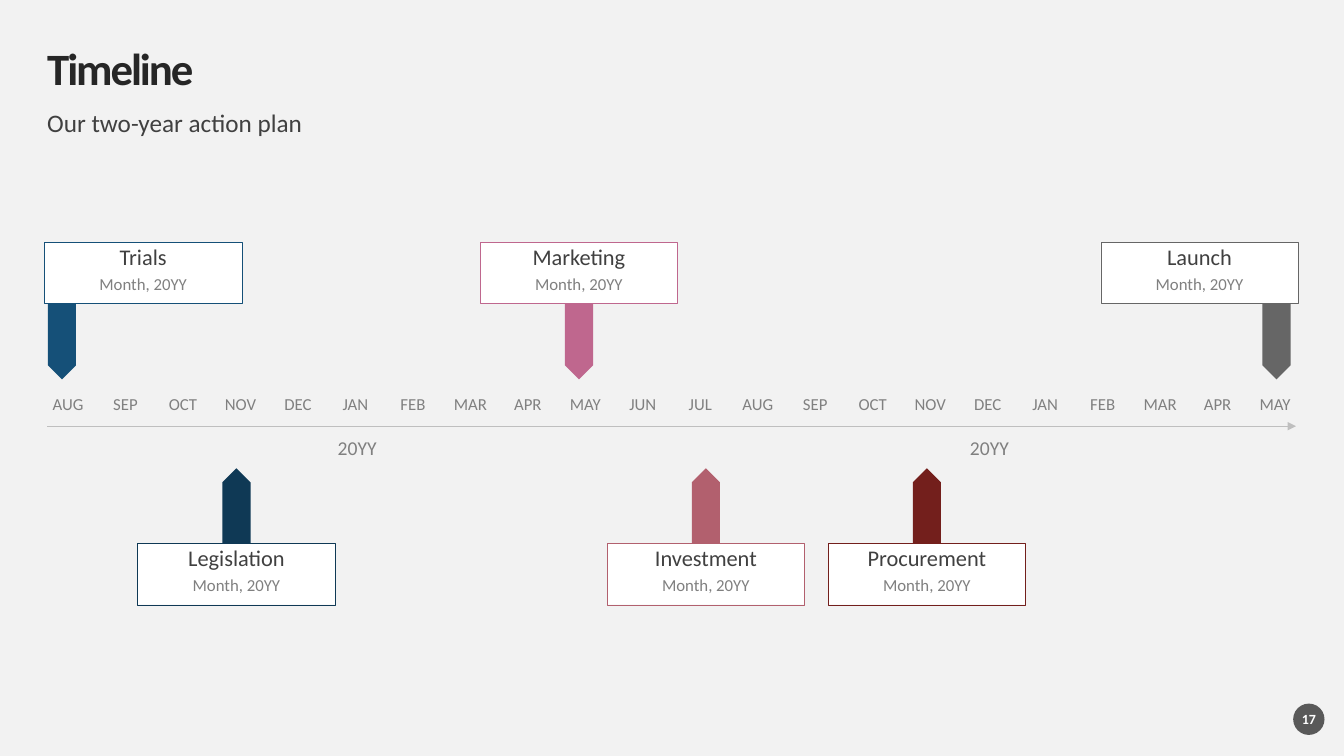
from pptx import Presentation, util as u
from pptx.dml.color import RGBColor
from pptx.enum import shapes, text
from pptx.oxml.ns import qn
from lxml import etree

# Content
TITLE = "Timeline"
SUBTITLE = "Our two-year action plan"
YEAR = "20YY"
DATE = "Month, 20YY"
PAGE_NUMBER = "17"
MONTHS = ("AUG SEP OCT NOV DEC JAN FEB MAR APR MAY JUN "
          "JUL AUG SEP OCT NOV DEC JAN FEB MAR APR MAY").split()
YEAR_MONTHS = (5, 16)  # index of the month each year label starts under
# name, row, pin centre, card centre (cm)
MILESTONES = [
    ("Trials", "above", 1.56, 3.61),
    ("Legislation", "below", 5.96, 5.96),
    ("Marketing", "above", 14.59, 14.59),
    ("Investment", "below", 17.79, 17.79),
    ("Procurement", "below", 23.36, 23.36),
    ("Launch", "above", 32.17, 30.23),
]
COLORS = {
    "back": "F2F2F2", "white": "FFFFFF", "title": "262626", "body": "404040",
    "muted": "808080", "axis": "BFBFBF", "badge": "595959",
    "Trials": "155078", "Legislation": "0F3955", "Marketing": "BF678E",
    "Investment": "B2606E", "Procurement": "731F1C", "Launch": "666666",
}

# Layout in cm
LEFT, RIGHT, AXIS_Y = 1.19, 32.66, 10.74
MONTH_W, MONTH_Y = 1.05, 9.98
MONTH_STEP = (RIGHT - LEFT - MONTH_W) / (len(MONTHS) - 1)
CARD_W, CARD_H, DATE_W = 4.98, 1.55, 4.7
PIN_LENGTH, PIN_W = 1.9, 0.71
# row: card top, pin centre, pin rotation
ROWS = {"above": (6.1, 8.61, 90), "below": (13.69, 12.75, 270)}


def color(name):
    return RGBColor.from_string(COLORS[name])


def write(box, words, size, ink, align="CENTER", anchor="TOP", bold=False,
          top=0, spacing=0.9, before=10):
    frame = box.text_frame
    frame.word_wrap = True
    frame.margin_left = frame.margin_right = frame.margin_bottom = 0
    frame.margin_top = u.Cm(top)
    frame.vertical_anchor = getattr(text.MSO_ANCHOR, anchor)
    para = frame.paragraphs[0]
    para.alignment = getattr(text.PP_ALIGN, align)
    para.line_spacing = spacing
    para.space_before = u.Pt(before)
    span = para.add_run()
    span.text = words
    span.font.name = "Calibri"
    span.font.size = u.Pt(size)
    span.font.bold = bold
    span.font.color.rgb = color(ink)
    return span


def add_label(page, x, y, w, h, words, size, ink, **style):
    box = page.shapes.add_textbox(u.Cm(x), u.Cm(y), u.Cm(w), u.Cm(h))
    return write(box, words, size, ink, **style)


def add_block(page, kind, x, y, w, h, fill, outline=None):
    block = page.shapes.add_shape(kind, u.Cm(x), u.Cm(y), u.Cm(w), u.Cm(h))
    block.shadow.inherit = False
    block.fill.solid()
    block.fill.fore_color.rgb = color(fill)
    if outline:
        block.line.color.rgb = color(outline)
        block.line.width = u.Pt(0.25)
    else:
        block.line.fill.background()
    return block


def add_axis(page):
    axis = page.shapes.add_connector(
        shapes.MSO_CONNECTOR.STRAIGHT,
        u.Cm(LEFT), u.Cm(AXIS_Y), u.Cm(RIGHT), u.Cm(AXIS_Y))
    axis.line.color.rgb = color("axis")
    axis.line.width = u.Pt(0.5)
    properties = axis.element.spPr
    etree.SubElement(properties.find(qn("a:ln")), qn("a:tailEnd"), type="triangle")
    etree.SubElement(properties, qn("a:effectLst"))


def add_milestone(page, name, row, pin_x, card_x):
    card_y, pin_y, turn = ROWS[row]
    pin = add_block(page, shapes.MSO_SHAPE.PENTAGON, pin_x - PIN_LENGTH / 2,
                    pin_y - PIN_W / 2, PIN_LENGTH, PIN_W, name)
    pin.rotation = turn
    card = add_block(page, shapes.MSO_SHAPE.RECTANGLE, card_x - CARD_W / 2,
                     card_y, CARD_W, CARD_H, "white", name)
    write(card, name, 16, "body", top=0.1)
    add_label(page, card_x - DATE_W / 2, card_y + 0.86, DATE_W, 0.64,
              DATE, 12, "muted")


def main():
    deck = Presentation()
    deck.slide_width, deck.slide_height = u.Cm(33.87), u.Cm(19.05)
    page = deck.slides.add_slide(deck.slide_layouts[6])
    page.background.fill.solid()
    page.background.fill.fore_color.rgb = color("back")

    # Heading
    heading = add_label(page, LEFT, 1.19, RIGHT - LEFT, 1.19, TITLE, 32, "title",
                        align="LEFT", anchor="MIDDLE", bold=True, before=0)
    heading.font._element.set("spc", "-150")
    add_label(page, LEFT, 2.79, RIGHT - LEFT, 0.71, SUBTITLE, 18, "body",
              align="LEFT")

    # Axis with months and years
    add_axis(page)
    for i, month in enumerate(MONTHS):
        add_label(page, LEFT + i * MONTH_STEP, MONTH_Y, MONTH_W, 0.56,
                  month, 12, "muted")
    for i in YEAR_MONTHS:
        add_label(page, LEFT + i * MONTH_STEP, 11.05, 1.14, 0.56,
                  YEAR, 14, "muted", anchor="MIDDLE")

    # Milestones
    for milestone in MILESTONES:
        add_milestone(page, *milestone)

    # Page number
    badge = add_block(page, shapes.MSO_SHAPE.OVAL, 32.59, 17.73, 0.79, 0.79, "badge")
    write(badge, PAGE_NUMBER, 10, "white", anchor="MIDDLE", bold=True,
          spacing=1.0, before=0)

    deck.save("out.pptx")


if __name__ == "__main__":
    main()
